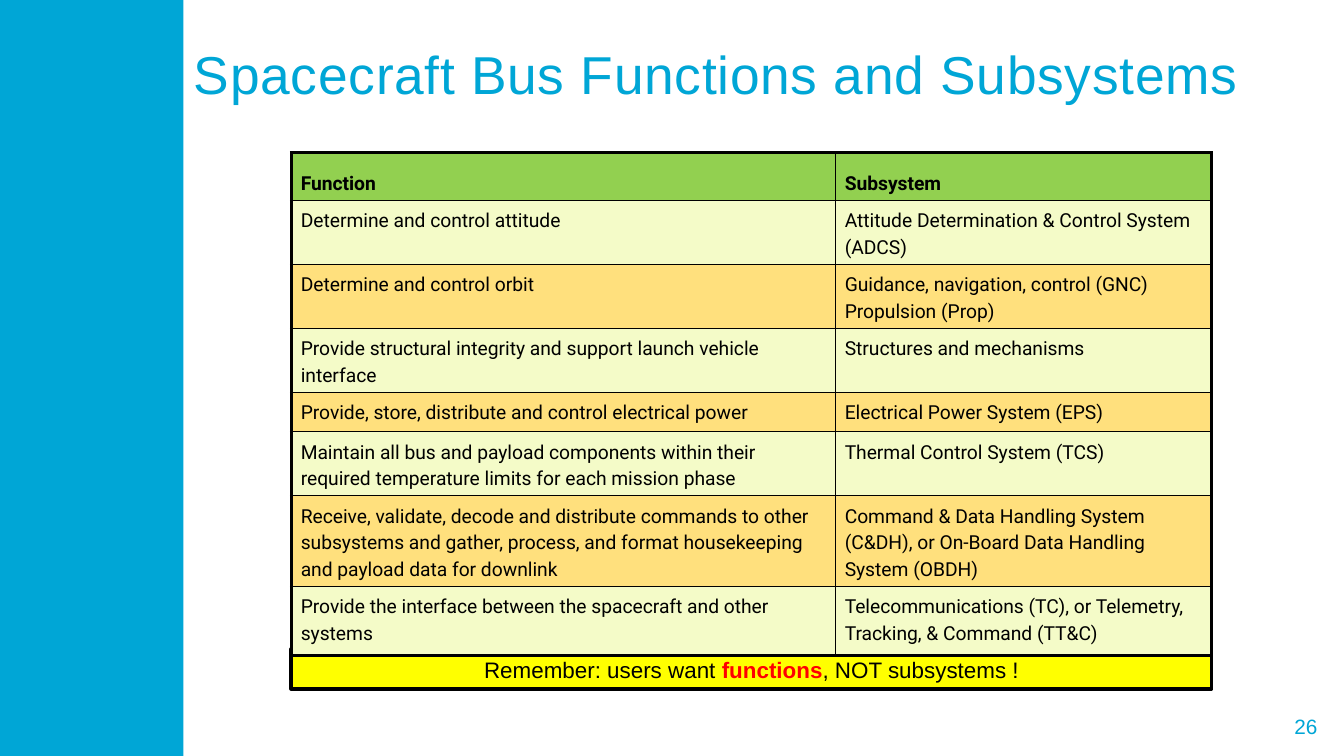
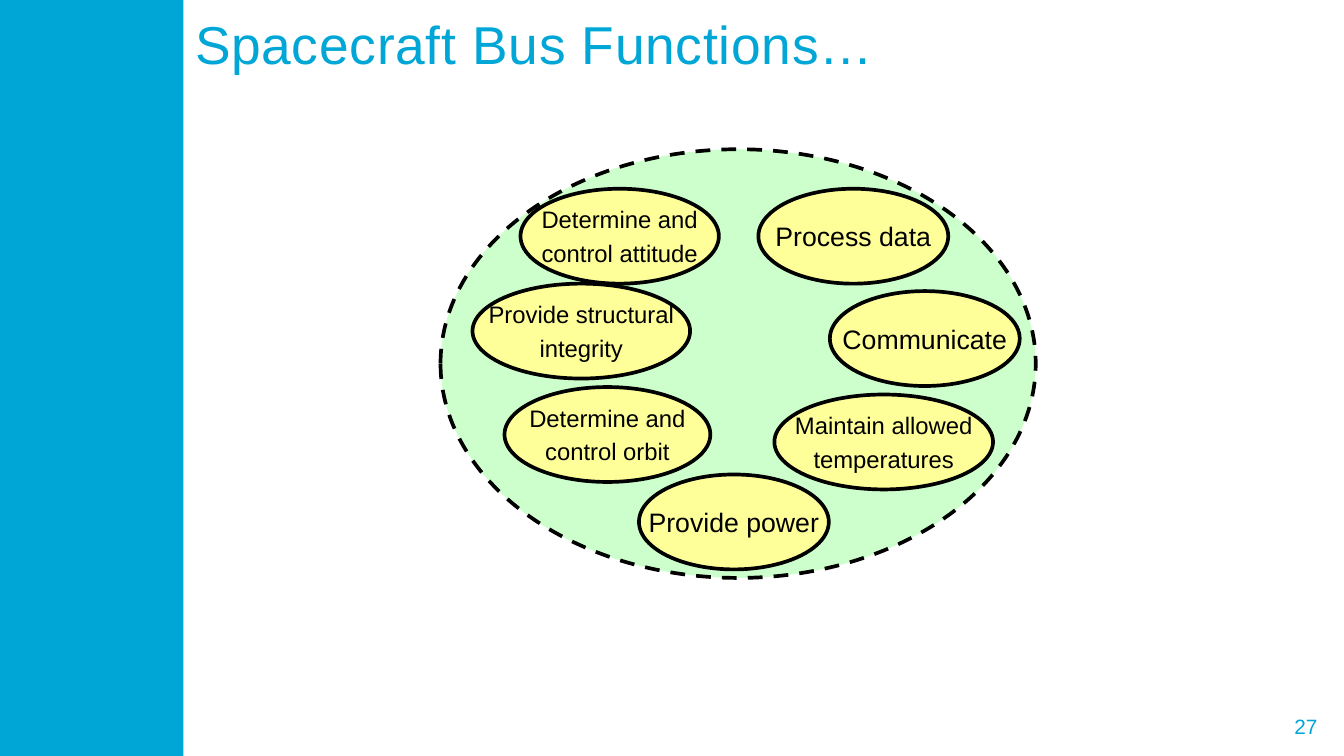
from lxml.etree import SubElement
from pptx import Presentation
from pptx.dml.color import RGBColor
from pptx.enum.dml import MSO_LINE
from pptx.enum.shapes import MSO_SHAPE
from pptx.enum.text import MSO_ANCHOR, PP_ALIGN
from pptx.oxml.ns import qn
from pptx.util import Inches, Pt

SLIDE_WIDTH, SLIDE_HEIGHT = 12.6, 7.09
BLUE, BLACK, RED = "00A6D6", "000000", "FF0000"
HEADER_GREEN, ROW_GREEN, ROW_ORANGE = "92D050", "F4FBC8", "FFE07D"
REMINDER_YELLOW, BUS_GREEN, FUNCTION_YELLOW = "FFFF00", "CCFFCC", "FFFF99"
ELLIPSE_HEIGHT = 0.89

COLUMN_WIDTHS = (5.1, 3.53)
ROW_HEIGHTS = (0.44, 0.6, 0.6, 0.6, 0.37, 0.6, 0.85, 0.65)
TABLE_ROWS = (
    ("Function", "Subsystem"),
    ("Determine and control attitude",
     "Attitude Determination & Control System (ADCS)"),
    ("Determine and control orbit",
     "Guidance, navigation, control (GNC)\nPropulsion (Prop)"),
    ("Provide structural integrity and support launch vehicle interface",
     "Structures and mechanisms"),
    ("Provide, store, distribute and control electrical power",
     "Electrical Power System (EPS)"),
    ("Maintain all bus and payload components within their required "
     "temperature limits for each mission phase",
     "Thermal Control System (TCS)"),
    ("Receive, validate, decode and distribute commands to other subsystems "
     "and gather, process, and format housekeeping and payload data for downlink",
     "Command & Data Handling System (C&DH), or On-Board Data Handling "
     "System (OBDH)"),
    ("Provide the interface between the spacecraft and other systems",
     "Telecommunications (TC), or Telemetry, Tracking, & Command (TT&C)"),
)

BUS_FUNCTIONS = (
    (4.88, 1.77, 1.86, "Determine and\ncontrol attitude"),
    (7.11, 1.77, 1.78, "Process data"),
    (4.43, 2.66, 2.04, "Provide structural\nintegrity"),
    (7.78, 2.73, 1.78, "Communicate"),
    (5.99, 4.45, 1.78, "Provide power"),
    (4.73, 3.63, 1.93, "Determine and\ncontrol orbit"),
    (7.26, 3.7, 2.05, "Maintain allowed\ntemperatures"),
)


def color(value):
    """Turn a hex string into a colour."""
    return RGBColor.from_string(value)


def set_font(font, size, value=BLACK, name="Arial", bold=False):
    """Set the look of a paragraph or run font."""
    font.name, font.size, font.bold = name, Pt(size), bold
    font.color.rgb = color(value)


def add_shape(slide, kind, left, top, width, height, fill, outline=None):
    """Add a filled shape with an optional outline."""
    shape = slide.shapes.add_shape(
        kind, Inches(left), Inches(top), Inches(width), Inches(height))
    shape.shadow.inherit = False
    shape.fill.solid()
    shape.fill.fore_color.rgb = color(fill)
    if outline:
        shape.line.color.rgb = color(outline)
        shape.line.width = Pt(2.5)
    else:
        shape.line.fill.background()
    frame = shape.text_frame
    frame.margin_left = frame.margin_right = 0
    frame.vertical_anchor = MSO_ANCHOR.MIDDLE
    return shape


def add_text(slide, left, top, width, height, text, size, alignment=PP_ALIGN.LEFT):
    """Add a blue one-line text box and return its paragraph."""
    box = slide.shapes.add_textbox(
        Inches(left), Inches(top), Inches(width), Inches(height))
    box.text_frame.word_wrap = True
    box.text_frame.vertical_anchor = MSO_ANCHOR.MIDDLE
    paragraph = box.text_frame.paragraphs[0]
    paragraph.text = text
    paragraph.alignment = alignment
    set_font(paragraph.font, size, BLUE)
    return paragraph


def add_slide(presentation, number, title, left, top, width, height):
    """Add a slide with the side band, page number and title."""
    slide = presentation.slides.add_slide(presentation.slide_layouts[6])
    add_shape(slide, MSO_SHAPE.RECTANGLE, 0, 0, 1.72, SLIDE_HEIGHT, BLUE)
    add_text(slide, 11.31, 6.64, 1.14, 0.34, str(number), 14, PP_ALIGN.RIGHT)
    paragraph = add_text(slide, left, top, width, height, title, 36)
    paragraph.runs[0].font._element.set("spc", "50")
    return slide


def set_borders(cell, widths):
    """Draw black cell borders, given widths by side."""
    properties = cell._tc.get_or_add_tcPr()
    for side, width in widths.items():
        line = SubElement(properties, qn(f"a:ln{side}"), w=str(Pt(width)))
        fill = SubElement(line, qn("a:solidFill"))
        SubElement(fill, qn("a:srgbClr"), val=BLACK)


def fill_cell(cell, text, row):
    """Write and colour one table cell."""
    cell.fill.solid()
    header = row == 0
    fill = HEADER_GREEN if header else (ROW_ORANGE, ROW_GREEN)[row % 2]
    cell.fill.fore_color.rgb = color(fill)
    cell.margin_left = cell.margin_right = Inches(0.09)
    cell.margin_top = cell.margin_bottom = Inches(0.05)
    cell.text = text
    for paragraph in cell.text_frame.paragraphs:
        paragraph.line_spacing = Pt(25 if header else 18)
        set_font(paragraph.font, 13, name="Roboto", bold=header)


def add_function_table(slide):
    """Add the table of functions and subsystems."""
    last_row, last_column = len(TABLE_ROWS) - 1, len(COLUMN_WIDTHS) - 1
    table = slide.shapes.add_table(
        len(TABLE_ROWS), len(COLUMN_WIDTHS), Inches(2.73), Inches(1.43),
        Inches(sum(COLUMN_WIDTHS)), Inches(sum(ROW_HEIGHTS))).table
    table.first_row = table.horz_banding = False
    for column, width in zip(table.columns, COLUMN_WIDTHS):
        column.width = Inches(width)
    for row, texts in enumerate(TABLE_ROWS):
        table.rows[row].height = Inches(ROW_HEIGHTS[row])
        for column, text in enumerate(texts):
            cell = table.cell(row, column)
            outer_sides = {"L": column == 0, "R": column == last_column,
                           "T": row == 0, "B": row == last_row}
            set_borders(cell, {side: 2.25 if outer else 1
                               for side, outer in outer_sides.items()})
            fill_cell(cell, text, row)


def add_reminder(slide):
    """Add the yellow reminder bar with its red key word."""
    bar = add_shape(slide, MSO_SHAPE.RECTANGLE, 2.73, 6.09, 8.63, 0.37,
                    REMINDER_YELLOW, BLACK)
    bar.text_frame.word_wrap = True
    paragraph = bar.text_frame.paragraphs[0]
    paragraph.alignment = PP_ALIGN.CENTER
    paragraph.line_spacing = Pt(18.9)
    for text, value in (("Remember: users want ", BLACK), ("functions", RED),
                        (", NOT subsystems !", BLACK)):
        run = paragraph.add_run()
        run.text = text
        set_font(run.font, 15.1, value, bold=value == RED)


def add_bus_function(slide, left, top, width, text):
    """Add one labelled function ellipse."""
    ellipse = add_shape(slide, MSO_SHAPE.OVAL, left, top, width, ELLIPSE_HEIGHT,
                        FUNCTION_YELLOW, BLACK)
    frame = ellipse.text_frame
    frame.word_wrap = False
    frame.text = text
    size = 16.1 if len(frame.paragraphs) > 1 else 18
    for index, paragraph in enumerate(frame.paragraphs):
        paragraph.alignment = PP_ALIGN.CENTER
        if index:
            paragraph.space_before = Pt(3.5)
        set_font(paragraph.font, size)


def build_table_slide(presentation):
    """Build the slide that maps functions to subsystems."""
    slide = add_slide(presentation, 26, "Spacecraft Bus Functions and Subsystems",
                      1.72, 0, 10.87, 1.37)
    add_reminder(slide)
    add_function_table(slide)


def build_diagram_slide(presentation):
    """Build the slide that gathers the functions in the bus."""
    slide = add_slide(presentation, 27, "Spacecraft Bus Functions…",
                      1.73, 0.01, 7.92, 0.79)
    bus = add_shape(slide, MSO_SHAPE.OVAL, 4.13, 1.4, 5.58, 4.02, BUS_GREEN, BLACK)
    bus.line.dash_style = MSO_LINE.DASH
    for bus_function in BUS_FUNCTIONS:
        add_bus_function(slide, *bus_function)


def main():
    """Build and save the presentation."""
    presentation = Presentation()
    presentation.slide_width = Inches(SLIDE_WIDTH)
    presentation.slide_height = Inches(SLIDE_HEIGHT)
    build_table_slide(presentation)
    build_diagram_slide(presentation)
    presentation.save("out.pptx")


if __name__ == "__main__":
    main()
